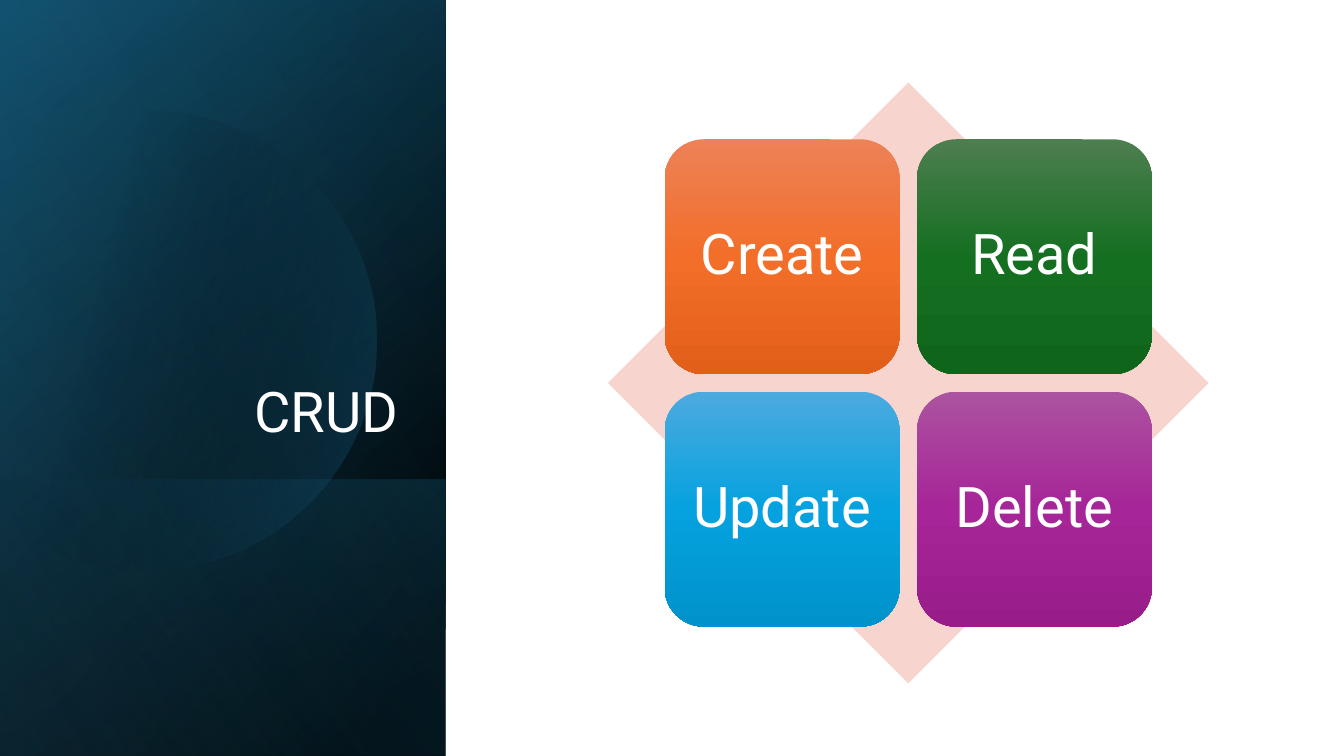
import math
import lxml.etree
import pptx
import pptx.dml.color
import pptx.enum.shapes
import pptx.enum.text
import pptx.oxml.ns
import pptx.util

Cm = pptx.util.Cm
FORM = pptx.enum.shapes.MSO_SHAPE
SIDE = pptx.enum.text.PP_ALIGN
HOLD = pptx.enum.text.MSO_ANCHOR
HUES = {
    "black": "000000", "navy": "104862", "teal": "156082", "sky": "46B1E1",
    "white": "FFFFFF", "blush": "F7D5CE",
}
FONT = {"name": "Roboto", "size": pptx.util.Pt(40)}
WIDE, HIGH = 11.23, 19.05
TILES = [
    ("Create", ["ED8257", "F26E29", "E25F1A"]),
    ("Read", ["4D7E50", "156F21", "0F661B"]),
    ("Update", ["4CAADF", "05A2DF", "0092CB"]),
    ("Delete", ["AC53A0", "A62598", "991C8B"]),
]


class Deck:
    def __init__(self):
        self.show = pptx.Presentation()
        self.show.slide_width = Cm(33.87)
        self.show.slide_height = Cm(HIGH)
        self.slide = self.show.slides.add_slide(self.show.slide_layouts[6])

    def plain(self, shape):
        shape.shadow.inherit = False
        shape.line.fill.background()
        return shape

    def shape(self, form, left, top, wide, high):
        return self.plain(self.slide.shapes.add_shape(
            form, Cm(left), Cm(top), Cm(wide), Cm(high)))

    def solid(self, shape, hue):
        shape.fill.solid()
        shape.fill.fore_color.rgb = pptx.dml.color.RGBColor.from_string(hue)

    def blend(self, shape, stops, turn):
        qn = pptx.oxml.ns.qn
        shape.fill.gradient()
        grad = shape.element.spPr.find(qn("a:gradFill"))
        bag = grad.find(qn("a:gsLst"))
        for old in list(bag):
            bag.remove(old)
        for place, hue, clear in stops:
            stop = lxml.etree.SubElement(bag, qn("a:gs"), pos=str(place * 1000))
            tint = lxml.etree.SubElement(stop, qn("a:srgbClr"), val=hue)
            if clear < 100:
                lxml.etree.SubElement(tint, qn("a:alpha"), val=str(clear * 1000))
        grad.find(qn("a:lin")).set("ang", str(turn * 60000))

    def panel(self, top, high, stops, turn):
        shape = self.shape(FORM.RECTANGLE, (WIDE - high) / 2,
                           top + (high - WIDE) / 2, high, WIDE)
        shape.rotation = 90
        shape.element.spPr.find(pptx.oxml.ns.qn("a:xfrm")).set("flipH", "1")
        self.blend(shape, stops, turn)

    def disc(self, mid_x, mid_y, reach, stops, turn):
        edge = math.acos(-mid_x / reach)
        turns = [edge * (step / 60 - 1) for step in range(121)]
        dots = [(Cm(mid_x + reach * math.cos(t)), Cm(mid_y + reach * math.sin(t)))
                for t in turns]
        draw = self.slide.shapes.build_freeform(*dots[0])
        draw.add_line_segments(dots[1:], close=True)
        self.blend(self.plain(draw.convert_to_shape()), stops, turn)

    def label(self, shape, text, side, look):
        frame = shape.text_frame
        for key, val in look.items():
            setattr(frame, key, val)
        line = frame.paragraphs[0]
        line.text = text
        line.alignment = side
        line.line_spacing = 0.9
        for key, val in FONT.items():
            setattr(line.font, key, val)
        line.font.color.rgb = pptx.dml.color.RGBColor.from_string(HUES["white"])

    def title(self, text, left, top, wide, high):
        box = self.slide.shapes.add_textbox(Cm(left), Cm(top), Cm(wide), Cm(high))
        self.label(box, text, SIDE.RIGHT,
                   {"word_wrap": True, "vertical_anchor": HOLD.BOTTOM})

    def tile(self, text, hues, left, top, size):
        shape = self.shape(FORM.ROUNDED_RECTANGLE, left, top, size, size)
        self.blend(shape, [(50 * i, hue, 100) for i, hue in enumerate(hues)], 90)
        look = {"word_wrap": True, "vertical_anchor": HOLD.MIDDLE}
        for edge in ("left", "top", "right", "bottom"):
            look["margin_" + edge] = Cm(0.43)
        self.label(shape, text, SIDE.CENTER, look)


def main():
    deck = Deck()
    black, teal = HUES["black"], HUES["teal"]
    deck.panel(0, HIGH, [(8, black, 100), (100, HUES["navy"], 100)], 50)
    deck.panel(0, HIGH, [(0, black, 0), (99, teal, 46)], 30)
    deck.panel(12.09, 6.96, [(2, teal, 29), (100, black, 30)], 130)
    deck.disc(3.68, 8.58, 5.8, [(29, black, 0), (100, teal, 43)], 14)
    deck.panel(0, HIGH, [(0, black, 0), (99, HUES["sky"], 11)], 120)
    deck.title("CRUD", 1.63, 4.67, 8.66, 6.65)

    left, top, span, size, step = 15.32, 2.08, 15.14, 5.92, 6.36
    deck.solid(deck.shape(FORM.DIAMOND, left, top, span, span), HUES["blush"])
    inset = (span - size - step) / 2
    for spot, (text, hues) in enumerate(TILES):
        row, col = divmod(spot, 2)
        deck.tile(text, hues, left + inset + col * step,
                  top + inset + row * step, size)
    deck.show.save("out.pptx")


if __name__ == "__main__":
    main()
